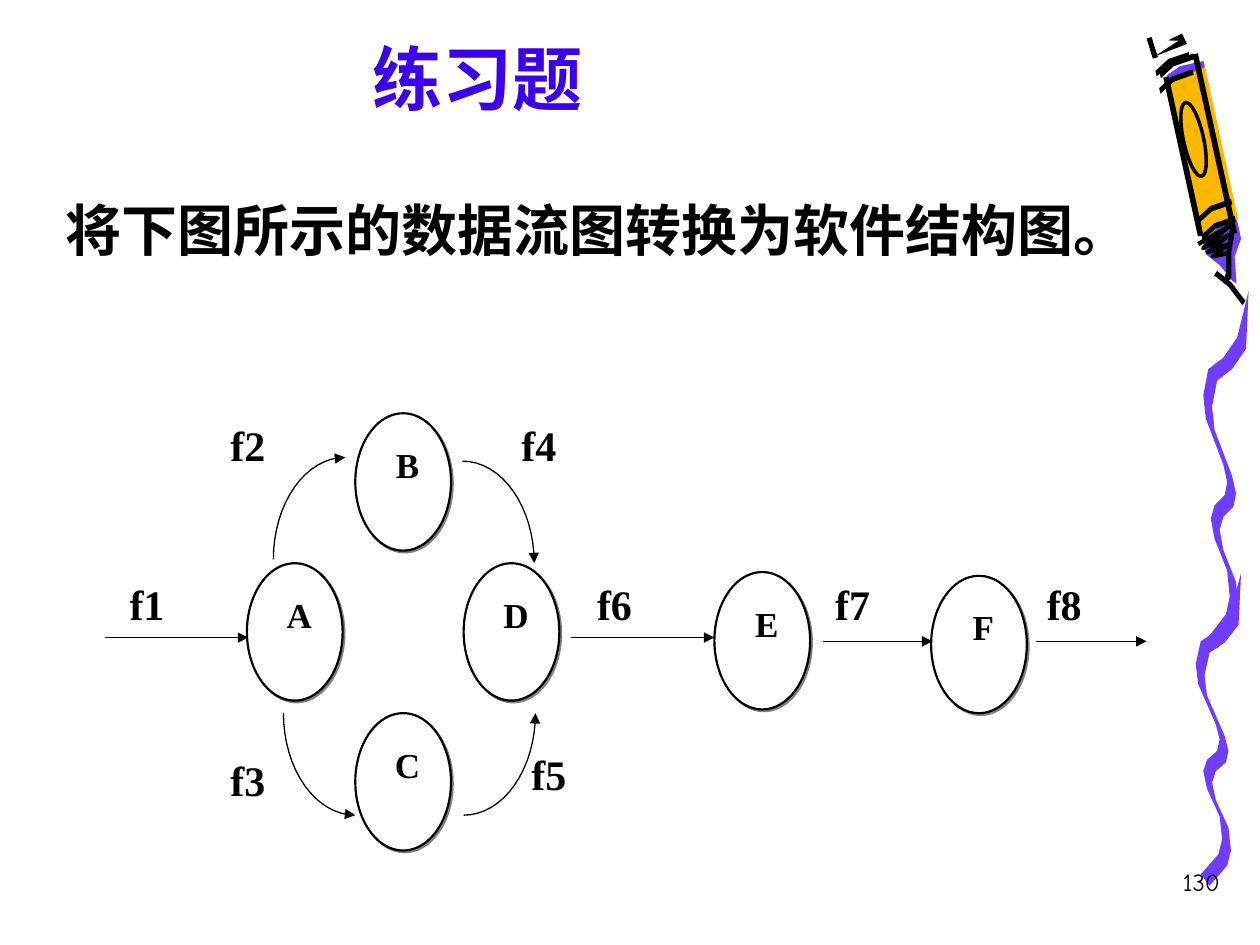
from math import cos, radians, sin

from lxml.etree import SubElement
from pptx import Presentation
from pptx.dml.color import RGBColor
from pptx.enum.shapes import MSO_CONNECTOR, MSO_SHAPE
from pptx.enum.text import MSO_ANCHOR, PP_ALIGN as ALIGN
from pptx.oxml.ns import qn
from pptx.util import Inches, Pt

COLORS = {
    "ink": "000000", "paper": "FFFFFF", "title": "3D00EA",
    "violet": "703DFF", "amber": "FFB800", "shadow": "808080",
}
HEADING_FONT, DIAGRAM_FONT = "Comic Neue", "Times New Roman"

# Data flow diagram: A, B, C and D ring a centre, E and F follow on the right
OVAL_W, OVAL_H = 0.76, 1.09
RING_LEFT, RING_TOP = 2.82, 4.47
RING_DX, RING_DY = 0.86, 1.19
PROCESSES = {
    "A": (RING_LEFT - RING_DX, RING_TOP), "B": (RING_LEFT, RING_TOP - RING_DY),
    "C": (RING_LEFT, RING_TOP + RING_DY), "D": (RING_LEFT + RING_DX, RING_TOP),
    "E": (5.67, 4.54), "F": (7.39, 4.57),
}
# Straight flows: start x, end x, y, label left (all labels share one row)
STRAIGHT_FLOWS = {
    "f1": (0.83, 1.97, 5.06, 0.93), "f6": (4.53, 5.67, 5.06, 4.64),
    "f7": (6.53, 7.4, 5.09, 6.53), "f8": (8.22, 9.1, 5.09, 8.21),
}
STRAIGHT_LABEL_TOP = 4.54
# Curved flows: centre of the quarter ellipse, start and end angle, label left and top
CURVED_FLOWS = {
    "f2": ((2.74, 4.44), 180, 270, (1.73, 3.28)), "f3": ((2.82, 5.66), 180, 90, (1.73, 5.94)),
    "f4": ((3.67, 4.47), 270, 360, (4.04, 3.28)), "f5": ((3.68, 5.66), 90, 0, (4.12, 5.89)),
}
CURVE_RX, CURVE_RY = 0.57, 0.81

# The crayon is laid out in (along, across) distances from its upper left corner
CRAYON_X, CRAYON_Y, CRAYON_TILT = 9.26, 0.6, 12.3
# One squiggle edge from the pointed top, as offsets from that top
SQUIGGLE_EDGE = [
    (0, 0), (-0.09, 0.32), (-0.2, 0.46), (-0.32, 0.54), (-0.36, 0.72), (-0.34, 0.88),
    (-0.2, 1.2), (-0.17, 1.32), (-0.19, 1.41), (-0.27, 1.48), (-0.3, 1.57), (-0.27, 1.71),
    (-0.17, 1.93), (-0.15, 2.11), (-0.18, 2.23), (-0.32, 2.39),
]


def rgb(name):
    return RGBColor.from_string(COLORS[name])


def write(frame, text, size, font=HEADING_FONT, color="ink", bold=True, align=ALIGN.LEFT):
    frame.word_wrap = True
    paragraph = frame.paragraphs[0]
    paragraph.alignment = align
    run = paragraph.add_run()
    run.text = text
    run.font.size, run.font.bold, run.font.name = Pt(size), bold, font
    run.font.color.rgb = rgb(color)


def add_text(slide, box, text, size, inset=0.1, **style):
    frame = slide.shapes.add_textbox(*map(Inches, box)).text_frame
    frame.margin_left = frame.margin_right = Inches(inset)
    write(frame, text, size, **style)


def style_line(shape, width, arrow=False):
    shape.line.color.rgb = rgb("ink")
    shape.line.width = Pt(width)
    if arrow:
        SubElement(shape.element.spPr.find(qn("a:ln")), qn("a:tailEnd"), type="triangle")


def add_outline(slide, points, closed):
    start, *rest = [(Inches(x), Inches(y)) for x, y in points]
    builder = slide.shapes.build_freeform(*start)
    builder.add_line_segments(rest, close=closed)
    shape = builder.convert_to_shape()
    shape.shadow.inherit = False
    return shape


def add_patch(slide, color, points):
    patch = add_outline(slide, points, closed=True)
    patch.fill.solid()
    patch.fill.fore_color.rgb = rgb(color)
    patch.line.fill.background()


def add_stroke(slide, points, width, arrow=False):
    stroke = add_outline(slide, points, closed=False)
    stroke.fill.background()
    style_line(stroke, width, arrow)


def add_straight(slide, start, end, width=0.75, arrow=True):
    line = slide.shapes.add_connector(MSO_CONNECTOR.STRAIGHT, *map(Inches, start + end))
    SubElement(line.element.spPr, qn("a:effectLst"))
    style_line(line, width, arrow)


def add_quarter_curve(slide, center, start, end, steps=16):
    angles = [radians(start + (end - start) * i / steps) for i in range(steps + 1)]
    points = [(center[0] + CURVE_RX * cos(a), center[1] + CURVE_RY * sin(a)) for a in angles]
    add_stroke(slide, points, 0.75, arrow=True)


def add_process(slide, name, left, top):
    oval = slide.shapes.add_shape(MSO_SHAPE.OVAL, *map(Inches, (left, top, OVAL_W, OVAL_H)))
    oval.fill.solid()
    oval.fill.fore_color.rgb = rgb("paper")
    style_line(oval, 1.25)
    oval.shadow.inherit = False
    shadow = SubElement(oval.element.spPr.find(qn("a:effectLst")), qn("a:outerShdw"),
                        dist=str(Pt(1.4)), dir="2700000", algn="ctr", rotWithShape="0")
    SubElement(shadow, qn("a:srgbClr"), val=COLORS["shadow"])
    add_text(slide, (left + 0.02, top + 0.19, 0.79, 0.8), name, 20, inset=0.04,
             font=DIAGRAM_FONT, align=ALIGN.CENTER)


def add_flow_label(slide, name, left, top):
    add_text(slide, (left, top, 0.66, 0.8), name, 24, font=DIAGRAM_FONT, align=ALIGN.JUSTIFY)


def ribbon(edge, nib):
    """Outline swept by a flat nib: the edge, then the same edge shifted, backwards."""
    return edge + [(x + nib[0], y + nib[1]) for x, y in reversed(edge)]


def add_squiggle(slide, x, y, stretch):
    tip, *edge = [(x + dx, y + dy * stretch) for dx, dy in SQUIGGLE_EDGE]
    add_patch(slide, "violet", [tip] + ribbon(edge, (0.07, 0.09)))


def tilted(points):
    """Turn (along, across) crayon distances into slide positions."""
    c, s = cos(radians(CRAYON_TILT)), sin(radians(CRAYON_TILT))
    return [(CRAYON_X + along * s + across * c, CRAYON_Y + along * c - across * s)
            for along, across in points]


def add_crayon(slide):
    # Stick with its pale backing, then the wrapper
    stick = [(0, 0), (1.45, 0), (1.56, 0.09), (1.7, 0.16), (1.73, 0.19),
             (1.52, 0.22), (1.39, 0.3), (-0.05, 0.31), (-0.05, 0.12)]
    add_patch(slide, "paper", tilted([(a - 0.06, b - 0.06) for a, b in stick]))
    add_patch(slide, "violet", tilted(stick))
    add_patch(slide, "amber", tilted(
        [(0.08, 0), (1.35, 0), (1.25, 0.16), (1.24, 0.31), (0, 0.31), (0.04, 0.1)]))

    # Long edges and bent bands: each is one nib sweep
    for start, end, across in [(0.01, 1.3, -0.03), (-0.12, 1.34, 0.235)]:
        add_patch(slide, "ink", tilted(ribbon([(start, across), (end, across)], (0, 0.045))))
    for along, across in [(-0.1, -0.08), (-0.08, -0.05), (0.04, -0.08), (1.11, 0), (1.25, 0)]:
        band = [(along + 0.09, across), (along + 0.02, across + 0.12), (along, across + 0.29)]
        add_patch(slide, "ink", tilted(ribbon(band, (-0.045, 0))))

    # Ring on the wrapper
    (ring_x, ring_y), = tilted([(0.54, 0.1)])
    ring_rx, ring_ry = 0.08, 0.3
    ring = slide.shapes.add_shape(MSO_SHAPE.OVAL, *map(
        Inches, (ring_x - ring_rx, ring_y - ring_ry, 2 * ring_rx, 2 * ring_ry)))
    ring.rotation = -CRAYON_TILT
    ring.shadow.inherit = False
    ring.fill.background()
    style_line(ring, 2)

    # Scribbled shading that narrows towards the point
    scribble = []
    for row in range(4):
        scribble += [(1.36 + 0.04 * row, -0.04 + 0.03 * row),
                     (1.27 + 0.07 * row, 0.24 - 0.02 * row)]
    add_stroke(slide, tilted(scribble), 2.5)
    add_stroke(slide, tilted([(1.3, 0.25), (1.48, 0.18), (1.67, 0.14), (1.66, 0.11)]), 3)
    add_patch(slide, "ink", tilted(
        ribbon([(1.63, 0.03), (1.74, 0.12), (1.91, 0.2)], (-0.03, 0.03))))

    # Flicks above the blunt end
    add_patch(slide, "ink", tilted(
        [(-0.17, -0.06), (-0.21, 0.21), (-0.3, 0.19), (-0.27, 0.07), (-0.25, 0.15)]))
    add_straight(slide, (9.12, 0.3), (9.17, 0.46), width=3, arrow=False)


def main():
    prs = Presentation()
    prs.slide_width, prs.slide_height = Inches(10), Inches(7.5)
    slide = prs.slides.add_slide(prs.slide_layouts[5])

    # Decoration: the same squiggle twice, below the crayon
    add_squiggle(slide, 9.85, 4.55, stretch=1)
    add_squiggle(slide, 9.91, 2.31, stretch=1.15)
    add_crayon(slide)

    # Title, task and page number
    title = slide.shapes.title
    title.left, title.top, title.width, title.height = map(Inches, (0.5, 0.17, 6.58, 0.83))
    title.text_frame.vertical_anchor = MSO_ANCHOR.BOTTOM
    write(title.text_frame, "练习题", 40, color="title", align=ALIGN.CENTER)
    add_text(slide, (0.42, 1.5, 8.92, 1), "将下图所示的数据流图转换为软件结构图。", 32)
    add_text(slide, (7.7, 6.83, 2.08, 0.5), "130", 14, bold=False, align=ALIGN.RIGHT)

    # Data flow diagram
    for name, (left, top) in PROCESSES.items():
        add_process(slide, name, left, top)
    for name, (start, end, y, label_left) in STRAIGHT_FLOWS.items():
        add_straight(slide, (start, y), (end, y))
        add_flow_label(slide, name, label_left, STRAIGHT_LABEL_TOP)
    for name, (center, start, end, label_at) in CURVED_FLOWS.items():
        add_quarter_curve(slide, center, start, end)
        add_flow_label(slide, name, *label_at)

    prs.save("out.pptx")


if __name__ == "__main__":
    main()
